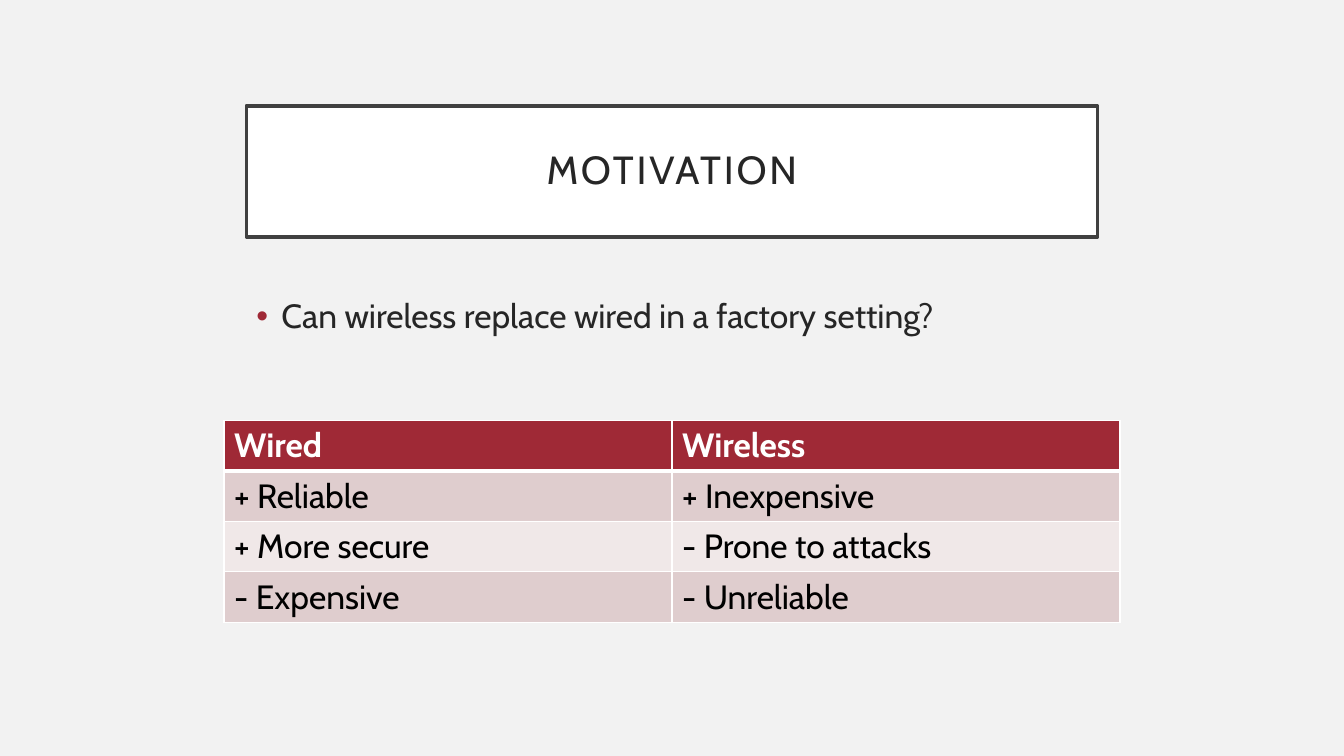
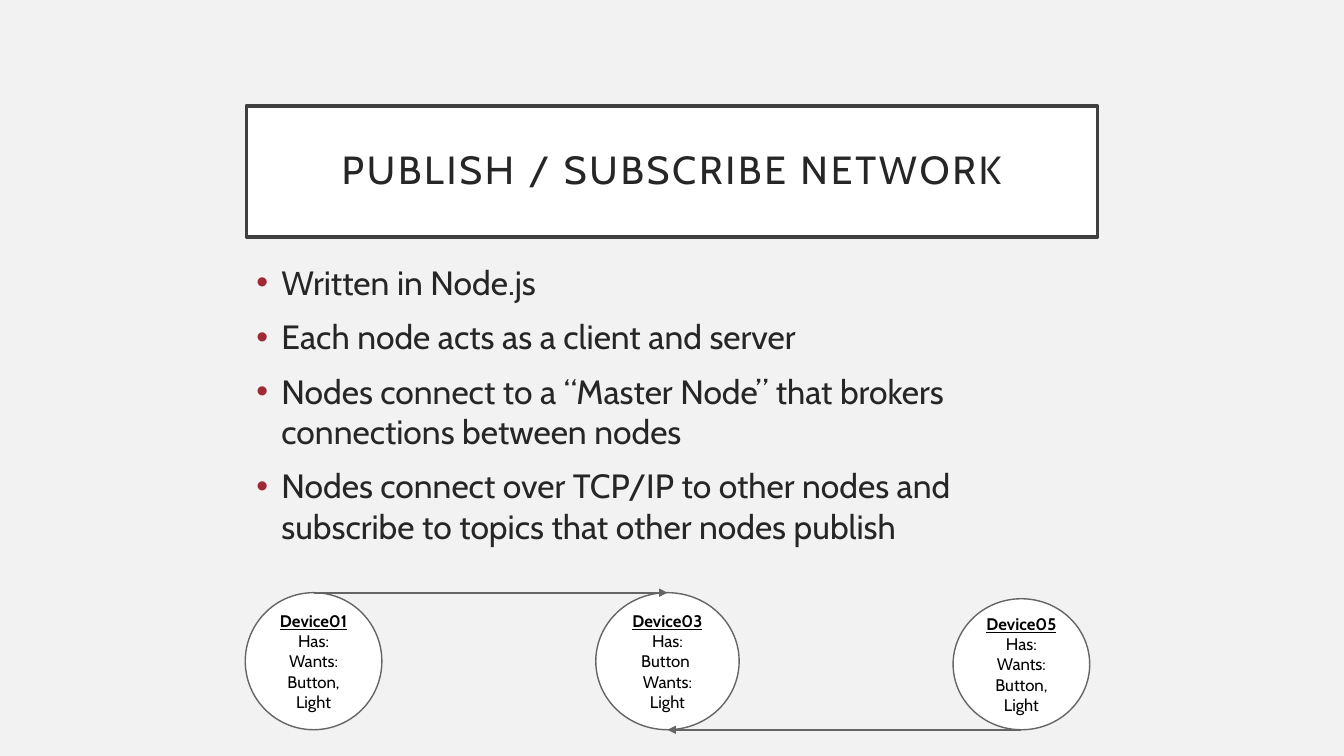
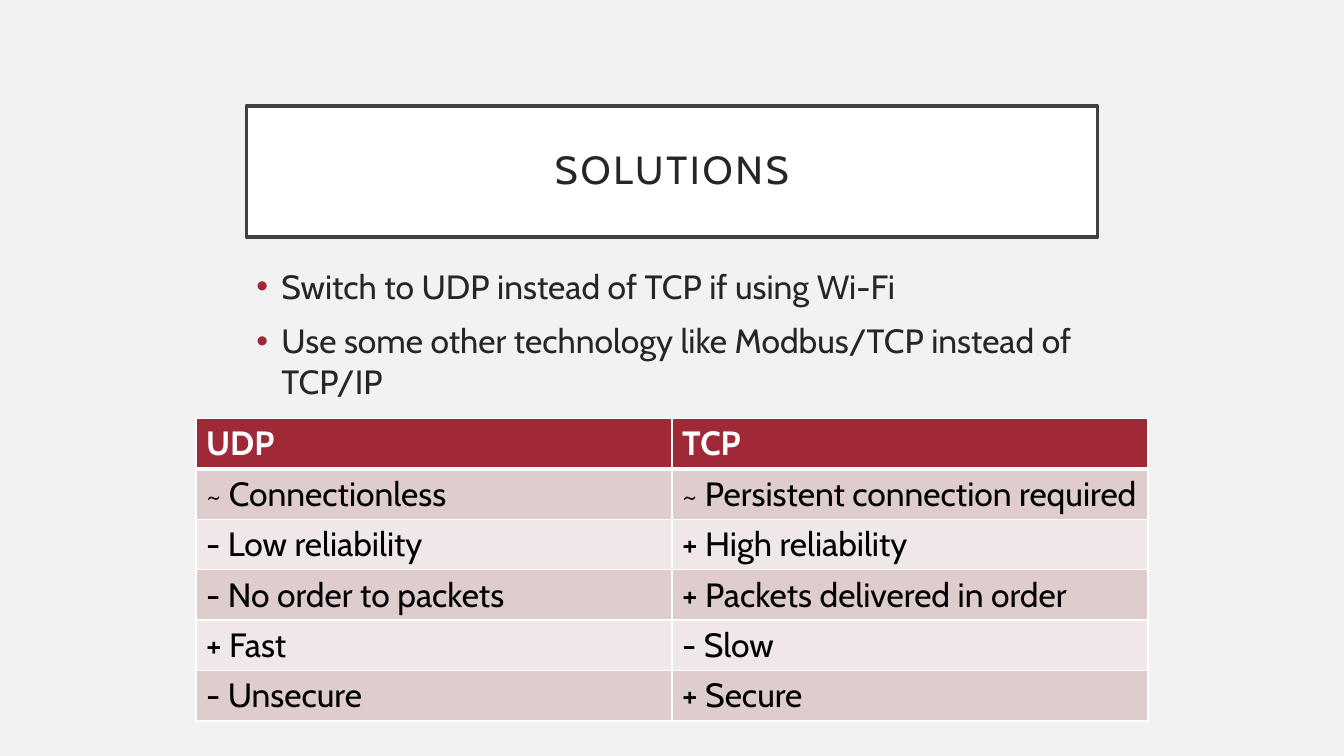
from dataclasses import dataclass

from lxml.etree import SubElement
from pptx import Presentation
from pptx.dml.color import RGBColor
from pptx.enum.shapes import MSO_CONNECTOR as Connector, MSO_SHAPE as Preset
from pptx.enum.text import MSO_ANCHOR as Anchor, PP_ALIGN as Align
from pptx.oxml.ns import qn
from pptx.util import Inches, Pt


@dataclass(frozen=True)
class Theme:
    """Colours, font, type sizes and line widths of the presentation."""
    font: str = "Cabin"
    page: str = "F2F2F2"
    white: str = "FFFFFF"
    black: str = "000000"
    ink: str = "262626"
    frame: str = "404040"
    stroke: str = "656565"
    accent: str = "9F2936"
    bands: tuple = ("DFCDCE", "F0E8E8")
    title_size: int = 28
    body_size: int = 24
    node_size: int = 12
    frame_width: float = 2.5
    node_width: float = 1
    arrow_width: float = 1.5
    rule_width: float = 1
    header_rule_width: float = 3


class Deck:
    """Draws styled elements on a grid of 120 columns and 150 rows."""
    COLUMNS, ROWS = 120, 150
    LEFT, WIDTH = 22, 76

    def __init__(self, theme):
        self.theme = theme
        self.show = Presentation()
        self.show.slide_width, self.show.slide_height = Inches(13.33), Inches(7.5)
        self.slide = None

    def x(self, columns):
        return round(self.show.slide_width * columns / self.COLUMNS)

    def y(self, rows):
        return round(self.show.slide_height * rows / self.ROWS)

    def box(self, left, top, width, height):
        return self.x(left), self.y(top), self.x(width), self.y(height)

    def format(self, paragraph, size, color, bold=False, underline=False):
        for run in paragraph.runs:
            font = run.font
            font.name, font.size = self.theme.font, Pt(size)
            font.bold, font.underline = bold, underline
            font.color.rgb = RGBColor.from_string(color)

    def page(self, title):
        theme = self.theme
        self.slide = self.show.slides.add_slide(self.show.slide_layouts[6])
        backdrop = self.slide.background.fill
        backdrop.solid()
        backdrop.fore_color.rgb = RGBColor.from_string(theme.page)
        banner = self.outlined(Preset.RECTANGLE, self.box(self.LEFT, 21, self.WIDTH, 26),
                               theme.frame, theme.frame_width)
        frame = banner.text_frame
        frame.margin_left = frame.margin_right = Inches(0.2)
        frame.margin_top = frame.margin_bottom = Inches(0.2)
        frame.text = title
        heading = frame.paragraphs[0]
        heading.alignment, heading.line_spacing = Align.CENTER, 0.9
        self.format(heading, theme.title_size, theme.ink)
        heading.runs[0].font._element.set("spc", "200")

    def outlined(self, preset, box, stroke, width):
        shape = self.slide.shapes.add_shape(preset, *box)
        shape.shadow.inherit = False
        shape.fill.solid()
        shape.fill.fore_color.rgb = RGBColor.from_string(self.theme.white)
        shape.line.color.rgb = RGBColor.from_string(stroke)
        shape.line.width = Pt(width)
        shape.text_frame.word_wrap = True
        shape.text_frame.vertical_anchor = Anchor.MIDDLE
        return shape

    def bullets(self, top, points):
        frame = self.slide.shapes.add_textbox(*self.box(self.LEFT, top, self.WIDTH, 67.8)).text_frame
        frame.word_wrap = True
        frame.text = "\n".join(points)
        for index, point in enumerate(frame.paragraphs):
            layout = point._p.get_or_add_pPr()
            layout.set("marL", str(Inches(0.25)))
            layout.set("indent", str(-Inches(0.25)))
            tint = SubElement(layout, qn("a:buClr"))
            SubElement(tint, qn("a:srgbClr"), val=self.theme.accent)
            SubElement(layout, qn("a:buFont"), typeface="Arial")
            SubElement(layout, qn("a:buChar"), char="•")
            if index:
                point.space_before = Pt(10)
            self.format(point, self.theme.body_size, self.theme.ink)

    def comparison(self, top, width, rows):
        theme, row_height = self.theme, 10
        left = (self.COLUMNS - width) / 2
        table = self.slide.shapes.add_table(
            len(rows), len(rows[0]), *self.box(left, top, width, row_height * len(rows))).table
        table.horz_banding = False
        for row_index, row in enumerate(rows):
            header = row_index == 0
            fill = theme.accent if header else theme.bands[(row_index - 1) % 2]
            color = theme.white if header else theme.black
            above = theme.header_rule_width if row_index == 1 else theme.rule_width
            below = theme.header_rule_width if header else theme.rule_width
            for column_index, entry in enumerate(row):
                cell = table.cell(row_index, column_index)
                self.rules(cell, above, below)
                cell.fill.solid()
                cell.fill.fore_color.rgb = RGBColor.from_string(fill)
                cell.text_frame.text = entry
                self.format(cell.text_frame.paragraphs[0], theme.body_size, color, bold=header)

    def rules(self, cell, above, below):
        side = self.theme.rule_width
        for edge, width in zip("LRTB", (side, side, above, below)):
            rule = SubElement(cell._tc.get_or_add_tcPr(), qn(f"a:ln{edge}"), w=str(Pt(width)))
            paint = SubElement(rule, qn("a:solidFill"))
            SubElement(paint, qn("a:srgbClr"), val=self.theme.white)

    def node(self, center, bottom, width, height, lines):
        theme = self.theme
        circle = self.outlined(Preset.OVAL, self.box(center - width / 2, bottom - height, width, height),
                               theme.stroke, theme.node_width)
        circle.text_frame.text = "\n".join(lines)
        for index, line in enumerate(circle.text_frame.paragraphs):
            line.alignment = Align.CENTER
            self.format(line, theme.node_size, theme.black, bold=index == 0, underline=index == 0)

    def arrow(self, start, end, level):
        link = self.slide.shapes.add_connector(
            Connector.STRAIGHT, self.x(start), self.y(level), self.x(end), self.y(level))
        link.line.color.rgb = RGBColor.from_string(self.theme.stroke)
        link.line.width = Pt(self.theme.arrow_width)
        SubElement(link.line._get_or_add_ln(), qn("a:tailEnd"), type="triangle")
        SubElement(link._element.spPr, qn("a:effectLst"))


def main():
    deck = Deck(Theme())

    deck.page("MOTIVATION")
    deck.bullets(57.6, ["Can wireless replace wired in a factory setting?"])
    deck.comparison(83.4, 80, [
        ("Wired", "Wireless"),
        ("+ Reliable", "+ Inexpensive"),
        ("+ More secure", "- Prone to attacks"),
        ("- Expensive", "- Unreliable"),
    ])

    deck.page("PUBLISH / SUBSCRIBE NETWORK")
    deck.bullets(51, [
        "Written in Node.js",
        "Each node acts as a client and server",
        "Nodes connect to a “Master Node” that brokers connections between nodes",
        "Nodes connect over TCP/IP to other nodes and subscribe to topics that other nodes publish",
    ])
    base, tall, short = 144.8, 27.2, 26
    first, middle, last = (28 + 31.6 * step for step in range(3))
    subscriber = ("Has:", "Wants: Button, Light")
    deck.node(first, base, 12.2, tall, ("Device01", *subscriber))
    deck.node(middle, base, 12.8, tall, ("Device03", "Has: Button ", "Wants: Light"))
    deck.node(last, base, 12.2, short, ("Device05", *subscriber))
    deck.arrow(first, middle, base - tall)
    deck.arrow(last, middle, base)

    deck.page("SOLUTIONS")
    deck.bullets(51.8, [
        "Switch to UDP instead of TCP if using Wi-Fi",
        "Use some other technology like Modbus/TCP instead of TCP/IP",
    ])
    deck.comparison(83, 85, [
        ("UDP", "TCP"),
        ("~ Connectionless", "~ Persistent connection required"),
        ("- Low reliability", "+ High reliability"),
        ("- No order to packets", "+ Packets delivered in order"),
        ("+ Fast", "- Slow"),
        ("- Unsecure", "+ Secure"),
    ])

    deck.show.save("out.pptx")


if __name__ == "__main__":
    main()
